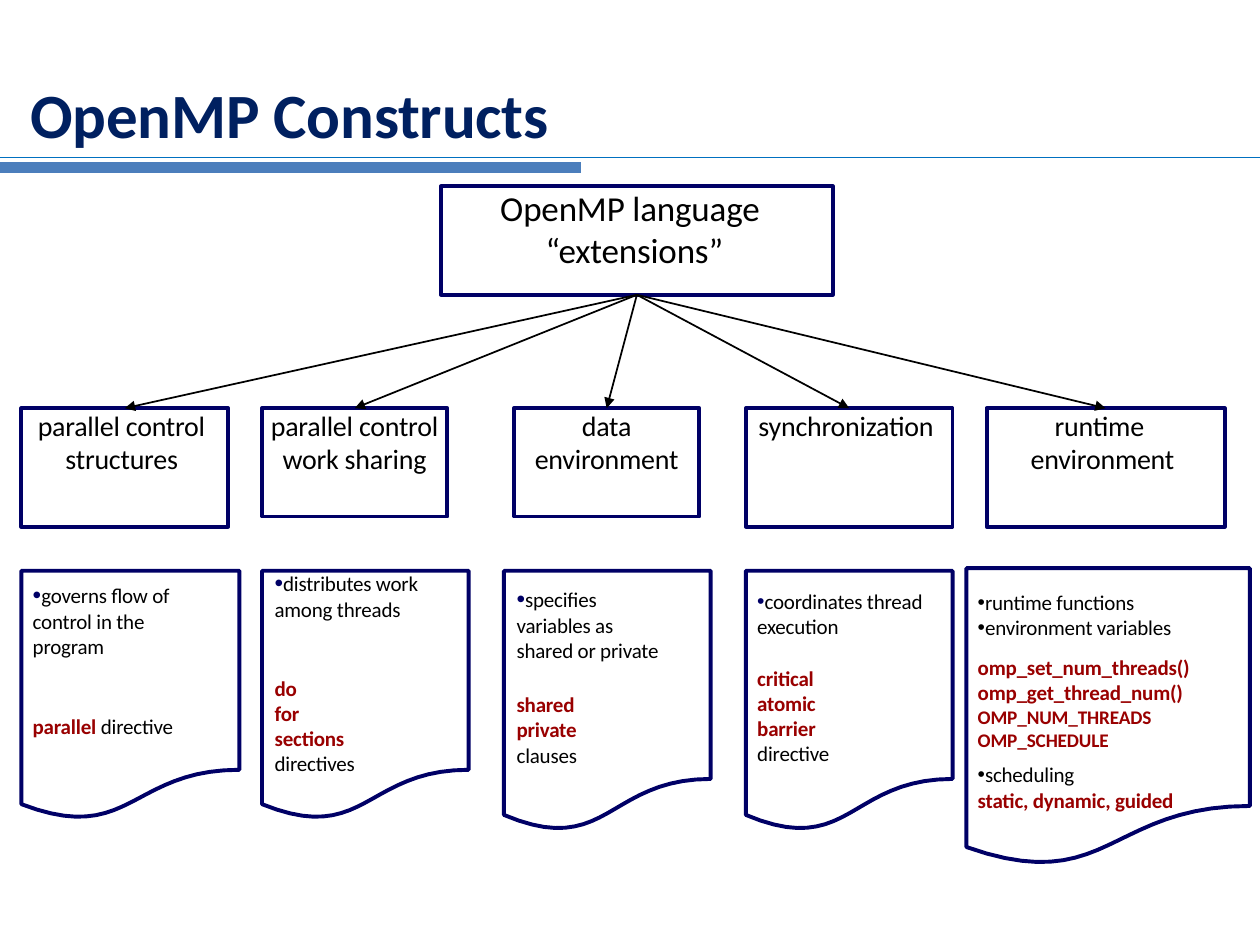
import dataclasses
import typing

import pptx
import pptx.dml.color
import pptx.enum.shapes
import pptx.enum.text
import pptx.oxml
import pptx.oxml.ns
import pptx.util

Inches = pptx.util.Inches
Pt = pptx.util.Pt
Align = pptx.enum.text.PP_ALIGN
Shape = pptx.enum.shapes.MSO_SHAPE
Link = pptx.enum.shapes.MSO_CONNECTOR

COLORS = {
    "title": "002060", "frame": "000066", "code": "990000",
    "text": "000000", "rule": "0070C0", "bar": "4B7EBC",
}
FONT = "Calibri"
TIERS = {"box": 3.24, "page": 4.53}


class Run(typing.NamedTuple):
    text: str
    color: str = "text"
    bold: bool = False
    size: float = 12


class Area(typing.NamedTuple):
    left: float
    top: float
    width: float
    height: float


@dataclasses.dataclass
class Para:
    runs: list[Run]
    align: typing.Any = Align.LEFT
    left: float = 0.01
    first: float = 0
    bullet: int = 0
    lead: float = 1
    before: float = 0


@dataclasses.dataclass
class Note:
    area: Area
    paras: list[Para]


@dataclasses.dataclass
class Branch:
    box: Area
    head: list[Para]
    page: Area
    notes: list[Note]


def code(text: str, size: float = 12) -> Run:
    return Run(text, "code", True, size)


def label(text: str, **style: typing.Any) -> Para:
    return Para([Run(text, size=16)], **style)


def point(text: str, bullet: int = 117, lead: float = 1.02) -> Para:
    return Para([Run(text)], bullet=bullet, lead=lead)


def rgb(name: str) -> pptx.dml.color.RGBColor:
    return pptx.dml.color.RGBColor.from_string(COLORS[name])


def add_mark(props: typing.Any, size: int) -> None:
    space = pptx.oxml.ns.nsdecls("a")
    color = COLORS["frame"] if size > 100 else COLORS["text"]
    for mark in (
        f'<a:buClr {space}><a:srgbClr val="{color}"/></a:buClr>',
        f'<a:buSzPct {space} val="{size * 1000}"/>',
        f'<a:buFont {space} typeface="Arial"/>',
        f'<a:buChar {space} char="•"/>',
    ):
        props.append(pptx.oxml.parse_xml(mark))


def write(frame: typing.Any, paras: list[Para]) -> None:
    frame.word_wrap = True
    frame.auto_size = pptx.enum.text.MSO_AUTO_SIZE.NONE
    frame.margin_left = frame.margin_right = 0
    frame.margin_top = frame.margin_bottom = 0
    for index, para in enumerate(paras):
        line = frame.add_paragraph() if index else frame.paragraphs[0]
        props = line._p.get_or_add_pPr()
        props.set("marL", str(Inches(para.left)))
        props.set("indent", str(Inches(para.first)))
        if para.bullet:
            add_mark(props, para.bullet)
        line.alignment = para.align
        line.line_spacing = para.lead
        if para.before:
            line.space_before = Pt(para.before)
        for part in para.runs:
            run = line.add_run()
            run.text = part.text
            run.font.name = FONT
            run.font.size = Pt(part.size)
            run.font.bold = part.bold
            run.font.color.rgb = rgb(part.color)
            run._r.get_or_add_rPr().set("spc", "-10")


def outline(shape: typing.Any) -> None:
    shape.shadow.inherit = False
    shape.fill.background()
    shape.line.color.rgb = rgb("frame")
    shape.line.width = Pt(2.25)


def draw_box(slide: typing.Any, area: Area, paras: list[Para]) -> None:
    box = slide.shapes.add_shape(Shape.RECTANGLE, *map(Inches, area))
    outline(box)
    box.text_frame.vertical_anchor = pptx.enum.text.MSO_ANCHOR.TOP
    write(box.text_frame, paras)


def curve(ends: tuple[float, float, float, float], t: float) -> float:
    a, b, c, d = ends
    u = 1 - t
    return a * u**3 + 3 * b * u**2 * t + 3 * c * u * t**2 + d * t**3


def draw_page(slide: typing.Any, area: Area) -> None:
    steps = [n / 20 for n in range(21)]
    wave = [(curve((1, 0.5, 0.5, 0), t), curve((0.81, 0.81, 1.12, 0.95), t)) for t in steps]
    spots = [
        (Inches(area.left + x * area.width), Inches(area.top + y * area.height))
        for x, y in [(1, 0)] + wave
    ]
    path = slide.shapes.build_freeform(Inches(area.left), Inches(area.top))
    path.add_line_segments(spots, close=True)
    outline(path.convert_to_shape())


def draw_line(slide: typing.Any, start: tuple[float, float], end: tuple[float, float],
              color: str, width: float, arrow: bool = False) -> None:
    line = slide.shapes.add_connector(Link.STRAIGHT, *map(Inches, start + end))
    line.line.color.rgb = rgb(color)
    line.line.width = Pt(width)
    space = pptx.oxml.ns.nsdecls("a")
    if arrow:
        tip = f'<a:tailEnd {space} type="triangle"/>'
        line.line._get_or_add_ln().append(pptx.oxml.parse_xml(tip))
    line._element.spPr.append(pptx.oxml.parse_xml(f"<a:effectLst {space}/>"))


def draw_note(slide: typing.Any, note: Note) -> None:
    box = slide.shapes.add_textbox(*map(Inches, note.area))
    write(box.text_frame, note.paras)


ROOT = Area(3.5, 1.48, 3.11, 0.86)
BOX, PAGE = TIERS["box"], TIERS["page"]
MID = {"align": Align.CENTER, "left": 0}
BRANCHES = [
    Branch(Area(0.17, BOX, 1.64, 0.94),
           [label("parallel control structures", left=0.35, first=-0.22)],
           Area(0.17, PAGE, 1.73, 1.95),
           [Note(Area(0.25, 4.62, 1.18, 0.64), [point("governs flow of control in the program")]),
            Note(Area(0.25, 5.66, 1.17, 0.19), [Para([code("parallel "), Run("directive")])])]),
    Branch(Area(2.08, BOX, 1.47, 0.86),
           [label("parallel control", **MID), label("work sharing", **MID)],
           Area(2.08, PAGE, 1.64, 1.95),
           [Note(Area(2.17, 4.52, 1.23, 0.44), [point("distributes work among threads", lead=1.04)]),
            Note(Area(2.17, 5.36, 0.68, 0.8),
                 [Para([code("do")]), Para([code("for sections "), Run("directives")])])]),
    Branch(Area(4.08, BOX, 1.47, 0.86),
           [label("data", **MID), label("environment", **MID)],
           Area(4, PAGE, 1.64, 2.04),
           [Note(Area(4.09, 4.65, 1.18, 0.64), [point("specifies variables as shared or private")]),
            Note(Area(4.09, 5.49, 0.52, 0.59), [Para([code("shared private "), Run("clauses")])])]),
    Branch(Area(5.92, BOX, 1.64, 0.94),
           [label("synchronization", left=0.1)],
           Area(5.92, PAGE, 1.64, 2.04),
           [Note(Area(6, 4.67, 1.41, 0.4), [point("coordinates thread execution", 101, 1)]),
            Note(Area(6, 5.28, 0.62, 0.79),
                 [Para([code("critical atomic barrier "), Run("directive")])])]),
    Branch(Area(7.83, BOX, 1.89, 0.94),
           [label("runtime environment", left=0.35, first=0.19)],
           Area(7.67, 4.51, 2.25, 2.33),
           [Note(Area(7.75, 4.68, 1.75, 1.77),
                 [point("runtime functions", 100, 1),
                  point("environment variables", 100, 1),
                  Para([code("omp_set_num_threads() omp_get_thread_num() "),
                        code("OMP_NUM_THREADS OMP_SCHEDULE", 11)], before=8.4),
                  Para([Run("scheduling")], bullet=100, before=6),
                  Para([code("static, dynamic, guided")])])]),
]


def main() -> None:
    deck = pptx.Presentation()
    deck.slide_width, deck.slide_height = Inches(10), Inches(7.5)
    slide = deck.slides.add_slide(deck.slide_layouts[5])
    title = slide.shapes.title
    title.left, title.top, title.width, title.height = map(Inches, (0.23, 0.55, 9.53, 0.7))
    title.text_frame.vertical_anchor = pptx.enum.text.MSO_ANCHOR.MIDDLE
    write(title.text_frame, [Para([Run("OpenMP Constructs", "title", True, 36)])])
    draw_line(slide, (0, 1.25), (10, 1.25), "rule", 0.75)
    draw_line(slide, (0, 1.33), (4.61, 1.33), "bar", 6)
    draw_box(slide, ROOT, [Para([Run("OpenMP language “extensions”", size=20)], left=0.83, first=-0.36)])
    hub = (ROOT.left + ROOT.width / 2, ROOT.top + ROOT.height)
    for branch in BRANCHES:
        box = branch.box
        draw_box(slide, box, branch.head)
        draw_page(slide, branch.page)
        for note in branch.notes:
            draw_note(slide, note)
        draw_line(slide, hub, (box.left + box.width / 2, box.top), "text", 1, True)
    deck.save("out.pptx")


if __name__ == "__main__":
    main()
